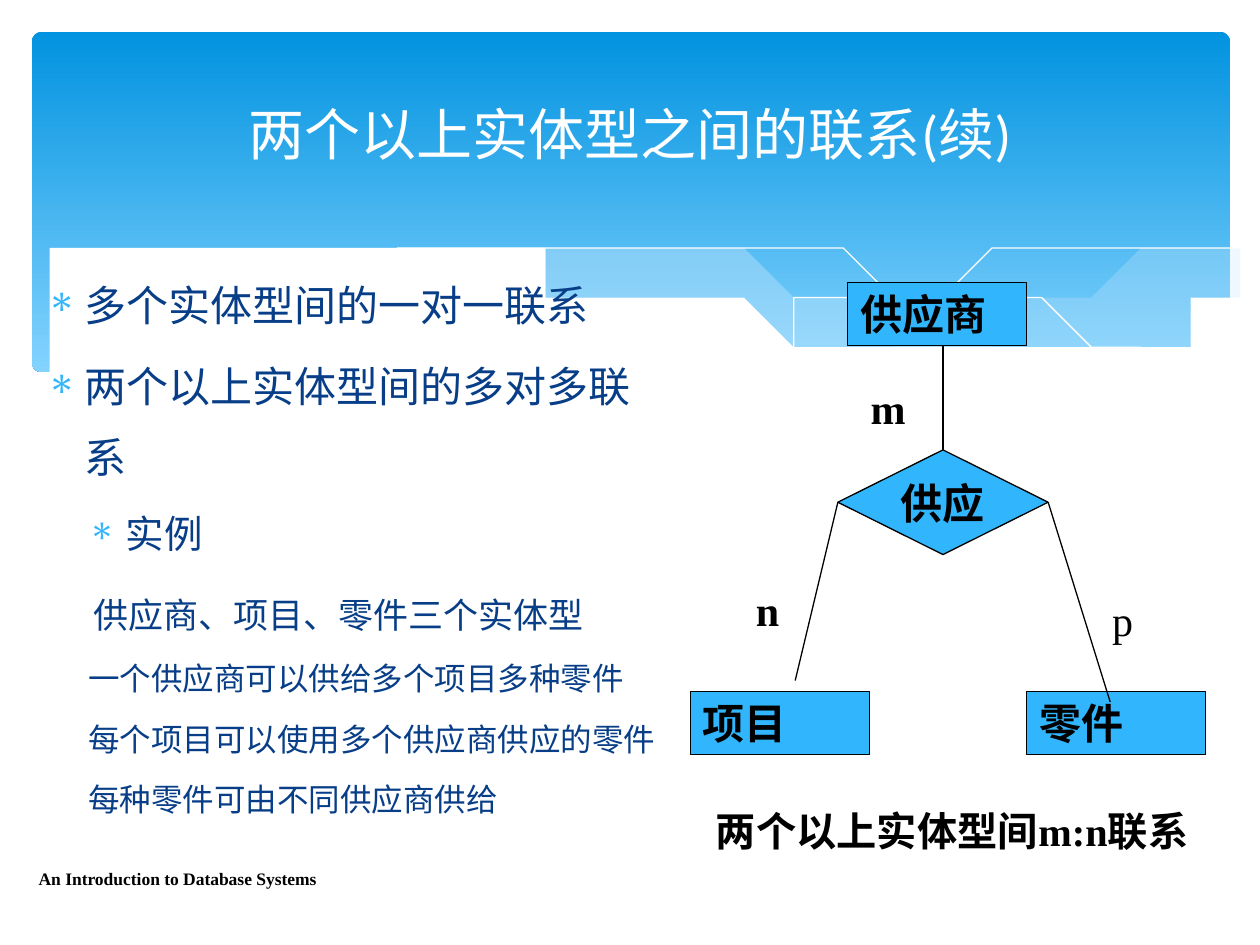
from lxml import etree
from pptx import Presentation
from pptx import util as u
from pptx.dml.color import RGBColor
from pptx.enum import shapes, text
from pptx.oxml.ns import qn

COLORS = {"sky": "0293E0", "pale": "83D3FE", "mist": "C6E7FC", "white": "FFFFFF",
          "black": "000000", "node": "31B6FD", "body": "073E87"}
SANS, SERIF = "Calibri", "Times New Roman"

# Content: lengths in cm, type sizes in points
TITLE = "两个以上实体型之间的联系(续)"
FOOTER = "An Introduction to Database Systems"
CAPTION = "两个以上实体型间m:n联系"
# text, size, left margin, first-line indent, space before, bulleted
OUTLINE = [
    ("多个实体型间的一对一联系", 24, 0.76, -0.76, 0, True),
    ("两个以上实体型间的多对多联系", 24, 0.76, -0.76, 6, True),
    ("实例", 22, 1.6, -0.76, 5.5, True),
    ("供应商、项目、零件三个实体型", 20, 0.94, 0, 12, False),
    ("一个供应商可以供给多个项目多种零件", 18, 1.6, -0.76, 4.5, False),
    ("每个项目可以使用多个供应商供应的零件", 18, 1.6, -0.76, 4.5, False),
    ("每种零件可由不同供应商供给", 18, 1.6, -0.76, 4.5, False),
]
ENTITIES = [("供应商", 17.09, 5.69), ("项目", 13.92, 13.94), ("零件", 20.7, 13.94)]
ENTITY_SIZE = (3.61, 1.27)
RELATION = ("供应", 16.89, 9.07, 4.24, 2.11)
# diamond connection site, far end
LINKS = [(0, 19.01, 6.96), (1, 16.03, 13.72), (3, 22.38, 14.15)]
# text, left, top, bold
CARDINALITIES = [("m", 17.3, 7.59, True), ("p", 22.17, 11.86, False),
                 ("n", 14.99, 11.66, True)]

# Each wave is a list of smooth edges; opacity in percent
TINTED_WAVES = [
    (29, [[(24.77, 5.08), (23.01, 5.33), (21.13, 5.84), (19.13, 6.3), (16.79, 6.73)],
          [(16.79, 6.73), (18.59, 6.96), (20.12, 7.04), (21.69, 7.01), (22.99, 6.83),
           (23.93, 6.58), (24.79, 6.27)]]),
    (40, [[(22.68, 6.93), (20.5, 6.6), (17.93, 6.1), (15.57, 5.54), (13.39, 5.08),
           (11.2, 4.8), (9.17, 4.7), (7.26, 4.85)],
          [(7.26, 4.85), (9.19, 5.16), (11.4, 5.64), (13.46, 6.1), (15.7, 6.55),
           (17.65, 6.86), (19.33, 7.04), (20.78, 7.09), (21.77, 7.04), (22.68, 6.93)]]),
]
WAVE_LINES = [
    [(7.85, 4.95), (8.97, 4.8), (10.57, 4.75), (12.42, 4.83), (14.12, 5),
     (16.15, 5.28), (18.47, 5.74), (21.11, 6.38), (23.04, 6.91)],
    [(15.57, 6.53), (17.65, 5.97), (19.71, 5.49), (22, 5.05), (23.47, 4.83),
     (24.77, 4.7)],
]
WHITE_WAVE = [
    [(24.82, 6.25), (23.62, 6.65), (22.23, 6.93), (20.55, 7.04), (18.9, 6.96),
     (16.97, 6.73), (14.71, 6.35), (12.07, 5.77), (9.93, 5.26), (8, 4.93),
     (6.35, 4.72), (4.47, 4.67), (3.02, 4.75), (1.91, 4.95), (1.02, 5.21), (0.58, 5.41)],
    [(0.58, 8.36), (24.82, 8.36)],
]

deck = Presentation()
deck.slide_width, deck.slide_height = u.Cm(25.4), u.Cm(19.05)
page = deck.slides.add_slide(deck.slide_layouts[6])


def rgb(name):
    return RGBColor.from_string(COLORS[name])


def paint(shape, fill=None, line=None, width=0.75):
    shape.shadow.inherit = False
    if fill:
        shape.fill.solid()
        shape.fill.fore_color.rgb = rgb(fill)
    else:
        shape.fill.background()
    if line:
        shape.line.color.rgb = rgb(line)
        shape.line.width = u.Pt(width)
    else:
        shape.line.fill.background()


def smooth(knots, steps=5):
    """Catmull-Rom curve through the knots."""
    ends = [knots[0], *knots, knots[-1]]
    curve = [knots[0]]
    for a, b, c, d in zip(ends, ends[1:], ends[2:], ends[3:]):
        for t in (step / steps for step in range(1, steps + 1)):
            curve.append(tuple(
                (2 * q + (r - p) * t + (2 * p - 5 * q + 4 * r - s) * t ** 2
                 + (3 * q - p - 3 * r + s) * t ** 3) / 2
                for p, q, r, s in zip(a, b, c, d)))
    return curve


def add_wave(edges, close=True):
    points = [point for edge in edges for point in smooth(edge)]
    builder = page.shapes.build_freeform(*points[0], scale=u.Cm(1))
    builder.add_line_segments(points[1:], close=close)
    return builder.convert_to_shape()


def style(para, size, font, color, bold=False):
    para.font.size, para.font.name = u.Pt(size), font
    para.font.bold = bold
    para.font.color.rgb = rgb(color)


def write(box, words, size, font, color, bold=False, align=text.PP_ALIGN.LEFT,
          anchor=text.MSO_ANCHOR.TOP, wrap=True):
    frame = box.text_frame
    frame.word_wrap, frame.vertical_anchor = wrap, anchor
    para = frame.paragraphs[0]
    para.text, para.alignment = words, align
    style(para, size, font, color, bold)


def add_label(words, left, top, width, height, *args, **options):
    box = page.shapes.add_textbox(*map(u.Cm, (left, top, width, height)))
    write(box, words, *args, **options)


# Banner with waves
banner = page.shapes.add_shape(shapes.MSO_SHAPE.ROUNDED_RECTANGLE,
                               *map(u.Cm, (0.64, 0.64, 24.16, 6.86)))
banner.adjustments[0] = 0.03
paint(banner)
banner.fill.gradient()
banner.fill.gradient_angle = 270
for stop, color in zip(banner.fill.gradient_stops, ("sky", "pale")):
    stop.color.rgb = rgb(color)
for opacity, edges in TINTED_WAVES:
    wave = add_wave(edges)
    paint(wave, "mist")
    tint = wave.fill._xPr.find(qn("a:solidFill"))[0]
    etree.SubElement(tint, qn("a:alpha"), val=str(opacity * 1000))
for knots in WAVE_LINES:
    paint(add_wave([knots], close=False), line="white", width=0)
paint(add_wave(WHITE_WAVE), "white")

# Outline
frame = page.shapes.add_textbox(*map(u.Cm, (0.69, 5.11, 13, 11.84))).text_frame
frame.word_wrap = True
for index, (words, size, margin, indent, before, bulleted) in enumerate(OUTLINE):
    para = frame.add_paragraph() if index else frame.paragraphs[0]
    para.text, para.line_spacing = words, 1.4
    if before:
        para.space_before = u.Pt(before)
    props = para._p.get_or_add_pPr()
    props.set("marL", str(u.Cm(margin)))
    props.set("indent", str(u.Cm(indent)))
    if bulleted:
        tone = etree.SubElement(props, qn("a:buClr"))
        etree.SubElement(tone, qn("a:srgbClr"), val=COLORS["node"])
        etree.SubElement(props, qn("a:buChar"), char="∗")
    style(para, size, SANS, "body")

# Footer and title
add_label(FOOTER, 0.53, 17.37, 10.52, 1.02, 10, SERIF, "black", True)
add_label(TITLE, 1.27, 0.94, 22.86, 3.48, 32, SANS, "white",
          align=text.PP_ALIGN.CENTER, anchor=text.MSO_ANCHOR.MIDDLE)

# Entity-relationship diagram
for name, left, top in ENTITIES:
    entity = page.shapes.add_shape(shapes.MSO_SHAPE.RECTANGLE,
                                   *map(u.Cm, (left, top, *ENTITY_SIZE)))
    paint(entity, "node", "black")
    write(entity, name, 24, SERIF, "black", True)
diamond = page.shapes.add_shape(shapes.MSO_SHAPE.DIAMOND, *map(u.Cm, RELATION[1:]))
paint(diamond, "node", "black")
write(diamond, RELATION[0], 24, SERIF, "black", True, text.PP_ALIGN.CENTER,
      text.MSO_ANCHOR.MIDDLE, wrap=False)
for site, x, y in LINKS:
    link = page.shapes.add_connector(shapes.MSO_CONNECTOR.STRAIGHT, 0, 0, u.Cm(x), u.Cm(y))
    link.begin_connect(diamond, site)
    link.line.color.rgb, link.line.width = rgb("black"), u.Pt(0.75)
    etree.SubElement(link._element.spPr, qn("a:effectLst"))
for mark, left, top, bold in CARDINALITIES:
    add_label(mark, left, top, 1.07, 1.27, 24, SERIF, "black", bold)
add_label(CAPTION, 13.39, 16.13, 11.61, 1.24, 23, SERIF, "black", True,
          align=text.PP_ALIGN.CENTER)

deck.save("out.pptx")
